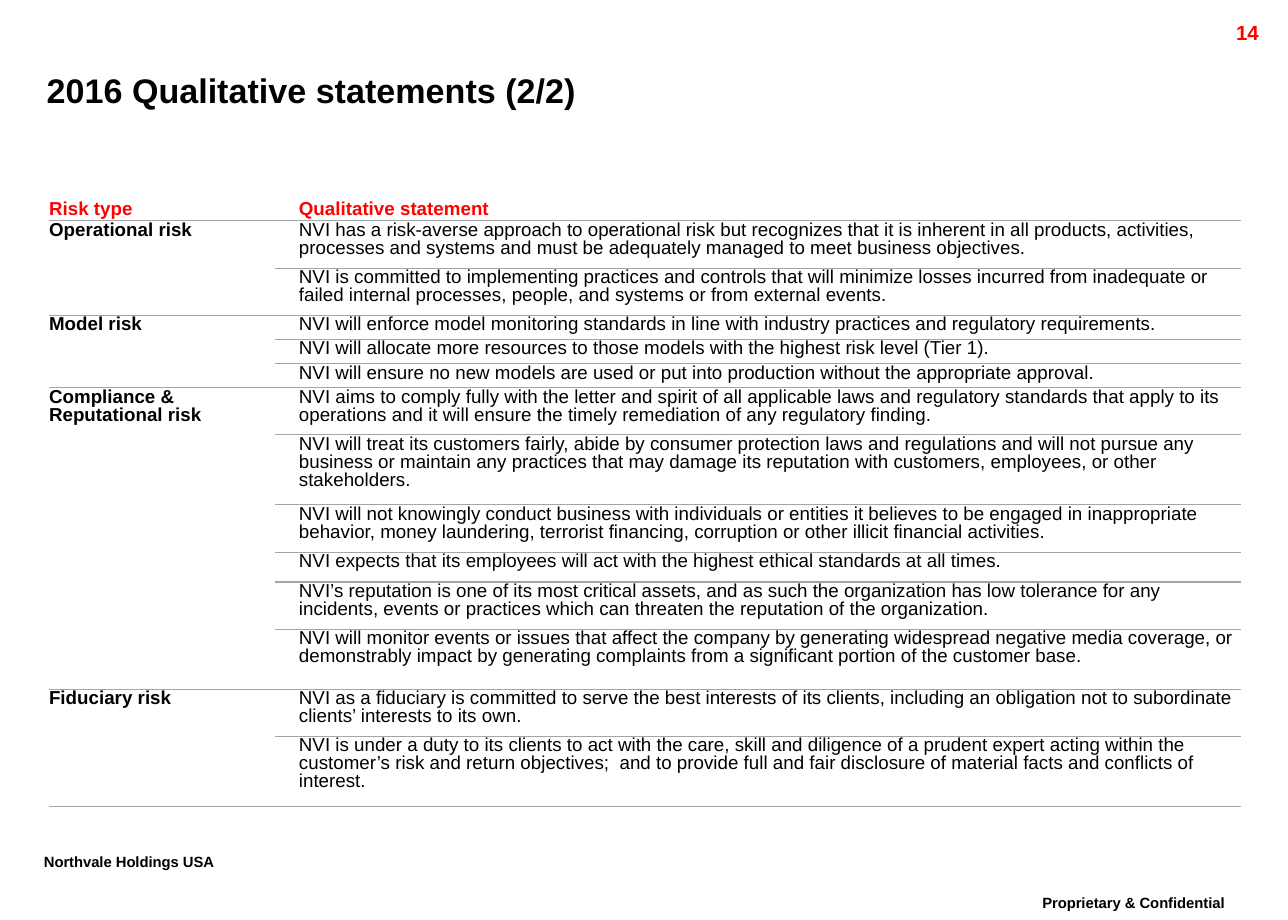
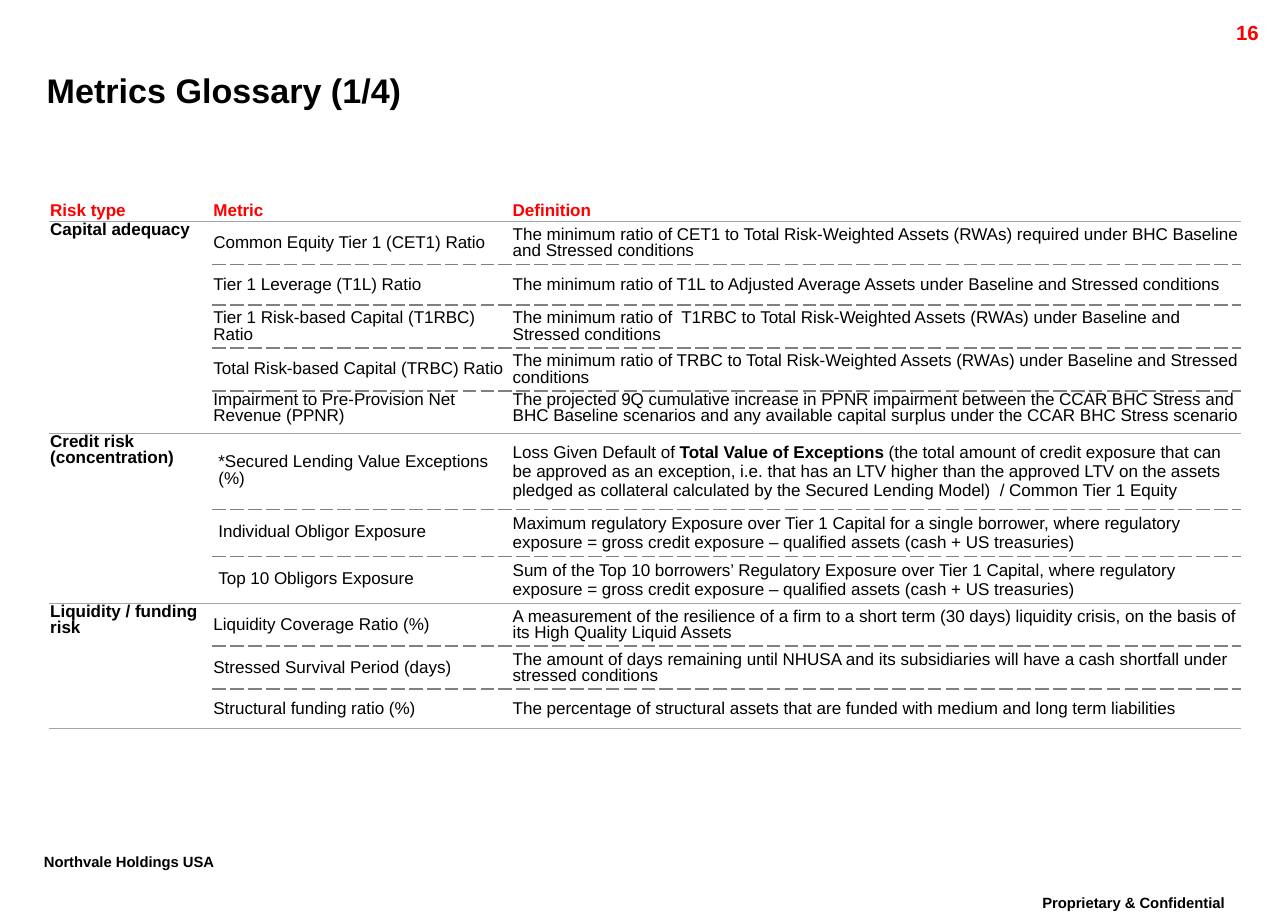
from dataclasses import dataclass, field

from lxml import etree
from pptx import Presentation
from pptx.dml.color import RGBColor
from pptx.enum.text import MSO_ANCHOR as ANCHOR, PP_ALIGN as ALIGN
from pptx.oxml.ns import qn
from pptx.util import Pt

COLORS = {"text": "000000", "accent": "FF0000", "rule": "A5A5A5", "dash": "808080", "cell": "FFFFFF"}
FONT = "Arial"
TIGHT = 0.86
NO_STYLE = "{2D5ABB26-0587-4C30-8999-92F81FD0307C}"
SOLID = ("rule", 0.75, "solid")
DASHED = ("dash", 1, "sysDash")


@dataclass
class Row:
    height: float
    texts: tuple
    fmt: dict = field(default_factory=dict)  # applies to every cell of the row


@dataclass
class Group:
    name: str
    rows: list
    columns: dict = field(default_factory=dict)  # column number -> cell format


def write(tf, text, size=12, color="text", bold=False, align=ALIGN.LEFT, spacing=None, baseline=None):
    """Fill a text frame with one paragraph; **marks** switch bold on and off."""
    p = tf.paragraphs[0]
    p.alignment = align
    if spacing:
        p.line_spacing = spacing
    for i, part in enumerate(text.split("**")):
        r = p.add_run()
        r.text = part
        r.font.name, r.font.size = FONT, Pt(size)
        r.font.bold = bold or i % 2 == 1
        r.font.color.rgb = RGBColor.from_string(COLORS[color])
        if baseline:
            r.font._element.set("baseline", str(baseline))


def add_rule(cell, edge, rule):
    """Draw the top (lnT) or bottom (lnB) border of a cell."""
    color, width, dash = rule
    ln = etree.Element(qn(f"a:{edge}"), w=str(Pt(width)))
    fill = etree.SubElement(ln, qn("a:solidFill"))
    etree.SubElement(fill, qn("a:srgbClr"), val=COLORS[color])
    etree.SubElement(ln, qn("a:prstDash"), val=dash)
    cell._tc.get_or_add_tcPr().insert(0, ln)


class Deck:
    def __init__(self):
        self.prs = Presentation()
        self.prs.slide_width, self.prs.slide_height = Pt(756), Pt(540)
        self.s = None

    def slide(self, title, number):
        self.s = self.prs.slides.add_slide(self.prs.slide_layouts[5])
        # Title
        sp = self.s.shapes.title
        sp.left, sp.top, sp.width, sp.height = Pt(27.4), Pt(35.3), Pt(682.6), Pt(34.6)
        tf = sp.text_frame
        tf.margin_left = tf.margin_top = tf.margin_right = tf.margin_bottom = 0
        tf.vertical_anchor, tf.word_wrap = ANCHOR.MIDDLE, True
        write(tf, title, size=20, bold=True)
        # Page number and footers
        footer = dict(size=15, spacing=TIGHT, baseline=30000)
        self.label(number, 674, 8, 72, 17, color="accent", align=ALIGN.RIGHT)
        self.label("Northvale Holdings USA", 18.7, 497.5, 160, 25, **footer)
        self.label("Proprietary & Confidential", 586.8, 522, 157, 25, align=ALIGN.CENTER, **footer)

    def label(self, text, left, top, width, height, **fmt):
        tf = self.s.shapes.add_textbox(Pt(left), Pt(top), Pt(width), Pt(height)).text_frame
        tf.word_wrap = True
        write(tf, text, bold=True, **fmt)

    def cell(self, cell, text, size, anchor=ANCHOR.TOP, left=0.7, pad=0.7, spacing=TIGHT, **fmt):
        cell.margin_left, cell.margin_top, cell.margin_right = Pt(left), Pt(pad), Pt(pad)
        cell.margin_bottom = Pt(pad if pad > 1 else 0)
        cell.vertical_anchor = anchor
        write(cell.text_frame, text, size=size, spacing=spacing, **fmt)

    def table(self, top, widths, header, groups, size, inner, columns):
        """A header row, then groups of rows whose first cell is merged downwards."""
        count = 1 + sum(len(g.rows) for g in groups)
        frame = self.s.shapes.add_table(count, len(widths), Pt(28.8), Pt(top), Pt(sum(widths)), Pt(count))
        table = frame.table
        table.first_row = table.horz_banding = False
        table._tbl.tblPr.find(qn("a:tableStyleId")).text = NO_STYLE
        for col, width in zip(table.columns, widths):
            col.width = Pt(width)
        for cell in table.iter_cells():
            cell.fill.solid()
            cell.fill.fore_color.rgb = RGBColor.from_string(COLORS["cell"])

        # Header
        table.rows[0].height = Pt(header.height)
        for c, text in enumerate(header.texts):
            cell = table.cell(0, c)
            fmt = {**columns[c], **header.fmt, "anchor": ANCHOR.MIDDLE}
            self.cell(cell, text, size, color="accent", bold=True, **fmt)
            add_rule(cell, "lnB", SOLID)

        # Groups
        n = 1
        for g in groups:
            first, last = n, n + len(g.rows) - 1
            table.cell(first, 0).merge(table.cell(last, 0))
            self.cell(table.cell(first, 0), g.name, size, bold=True, **columns[0])
            for row in g.rows:
                table.rows[n].height = Pt(row.height)
                for c, text in enumerate(row.texts, 1):
                    self.cell(table.cell(n, c), text, size, **{**columns[c], **g.columns.get(c, {}), **row.fmt})
                for c in range(len(widths)):
                    cell = table.cell(n, c)
                    outer = SOLID if c == 0 else inner
                    if c or n == last or n == first:
                        add_rule(cell, "lnB", SOLID if n == last else outer)
                        add_rule(cell, "lnT", SOLID if n == first else outer)
                n += 1


def statements(*rows):
    return [Row(height, (text,)) for height, text in rows]


QUALITATIVE = [
    Group("Operational risk", statements(
        (27.7, "NVI has a risk-averse approach to operational risk but recognizes that it is inherent in all "
               "products, activities, processes and systems and must be adequately managed to meet business "
               "objectives."),
        (27.7, "NVI is committed to implementing practices and controls that will minimize losses incurred from "
               "inadequate or failed internal processes, people, and systems or from external events."))),
    Group("Model risk", statements(
        (14.2, "NVI will enforce model monitoring standards in line with industry practices and regulatory "
               "requirements."),
        (14.2, "NVI will allocate more resources to those models with the highest risk level (Tier 1)."),
        (14.2, "NVI will ensure no new models are used or put into production without the appropriate approval."))),
    Group("Compliance & Reputational risk", statements(
        (27.7, "NVI aims to comply fully with the letter and spirit of all applicable laws and regulatory "
               "standards that apply to its operations and it will ensure the timely remediation of any "
               "regulatory finding."),
        (41.1, "NVI will treat its customers fairly, abide by consumer protection laws and regulations and will "
               "not pursue any business or maintain any practices that may damage its reputation with "
               "customers, employees, or other stakeholders."),
        (27.7, "NVI will not knowingly conduct business with individuals or entities it believes to be engaged "
               "in inappropriate behavior, money laundering, terrorist financing, corruption or other illicit "
               "financial activities."),
        (17.6, "NVI expects that its employees will act with the highest ethical standards at all times."),
        (27.7, "NVI’s reputation is one of its most critical assets, and as such the organization has low "
               "tolerance for any incidents, events or practices which can threaten the reputation of the "
               "organization."),
        (35.2, "NVI will monitor events or issues that affect the company by generating widespread negative "
               "media coverage, or demonstrably impact by generating complaints from a significant portion of "
               "the customer base."))),
    Group("Fiduciary risk", statements(
        (27.7, "NVI as a fiduciary is committed to serve the best interests of its clients, including an "
               "obligation not to subordinate clients’ interests to its own."),
        (41.1, "NVI is under a duty to its clients to act with the care, skill and diligence of a prudent expert "
               "acting within the customer’s risk and return objectives;  and to provide full and fair "
               "disclosure of material facts and conflicts of interest."))),
]

GLOSSARY = [
    Group("Capital adequacy", [
        Row(25.2, ("Common Equity Tier 1 (CET1) Ratio",
                   "The minimum ratio of CET1 to Total Risk-Weighted Assets (RWAs) required under BHC Baseline "
                   "and Stressed conditions")),
        Row(23.8, ("Tier 1 Leverage (T1L) Ratio",
                   "The minimum ratio of T1L to Adjusted Average Assets under Baseline and Stressed conditions")),
        Row(25.2, ("Tier 1 Risk-based Capital (T1RBC) Ratio",
                   "The minimum ratio of  T1RBC to Total Risk-Weighted Assets (RWAs) under Baseline and "
                   "Stressed conditions")),
        Row(25.2, ("Total Risk-based Capital (TRBC) Ratio",
                   "The minimum ratio of TRBC to Total Risk-Weighted Assets (RWAs) under Baseline and Stressed "
                   "conditions")),
        Row(25, ("Impairment to Pre-Provision Net Revenue (PPNR)",
                 "The projected 9Q cumulative increase in PPNR impairment between the CCAR BHC Stress and BHC "
                 "Baseline scenarios and any available capital surplus under the CCAR BHC Stress scenario"),
            {"anchor": ANCHOR.TOP}),
    ]),
    Group("Credit risk (concentration)", [
        Row(44.6, ("*Secured Lending Value Exceptions (%)",
                   "Loss Given Default of **Total Value of Exceptions **(the total amount of credit exposure "
                   "that can be approved as an exception, i.e. that has an LTV higher than the approved LTV on "
                   "the assets pledged as collateral calculated by the Secured Lending Model)  / Common Tier 1 "
                   "Equity")),
        Row(27.6, ("Individual Obligor Exposure",
                   "Maximum regulatory Exposure over Tier 1 Capital for a single borrower, where regulatory "
                   "exposure = gross credit exposure – qualified assets (cash + US treasuries)")),
        Row(27.6, ("Top 10 Obligors Exposure",
                   "Sum of the Top 10 borrowers’ Regulatory Exposure over Tier 1 Capital, where regulatory "
                   "exposure = gross credit exposure – qualified assets (cash + US treasuries)")),
    ], {1: dict(left=3.6, pad=3.6, spacing=Pt(10)), 2: dict(spacing=1.0)}),
    Group("Liquidity / funding risk", [
        Row(25.2, ("Liquidity Coverage Ratio (%)",
                   "A measurement of the resilience of a firm to a short term (30 days) liquidity crisis, on "
                   "the basis of its High Quality Liquid Assets")),
        Row(25.2, ("Stressed Survival Period (days)",
                   "The amount of days remaining until NHUSA and its subsidiaries will have a cash shortfall "
                   "under stressed conditions")),
        Row(22.9, ("Structural funding ratio (%)",
                   "The percentage of structural assets that are funded with medium and long term liabilities")),
    ]),
]


def main():
    deck = Deck()

    # Qualitative statements
    deck.slide("2016 Qualitative statements (2/2)", "14")
    deck.table(115.9, (132.5, 567.3), Row(13.8, ("Risk type", "Qualitative statement")), QUALITATIVE,
               size=11, inner=SOLID, columns=[dict(left=0), dict(left=14.2)])

    # Metrics glossary
    deck.slide("Metrics Glossary (1/4)", "16")
    middle = dict(anchor=ANCHOR.MIDDLE)
    deck.table(117.4, (95.8, 175.7, 428), Row(12.6, ("Risk type", "Metric", "Definition")), GLOSSARY,
               size=10, inner=DASHED, columns=[{}, middle, middle])

    deck.prs.save("out.pptx")


if __name__ == "__main__":
    main()
